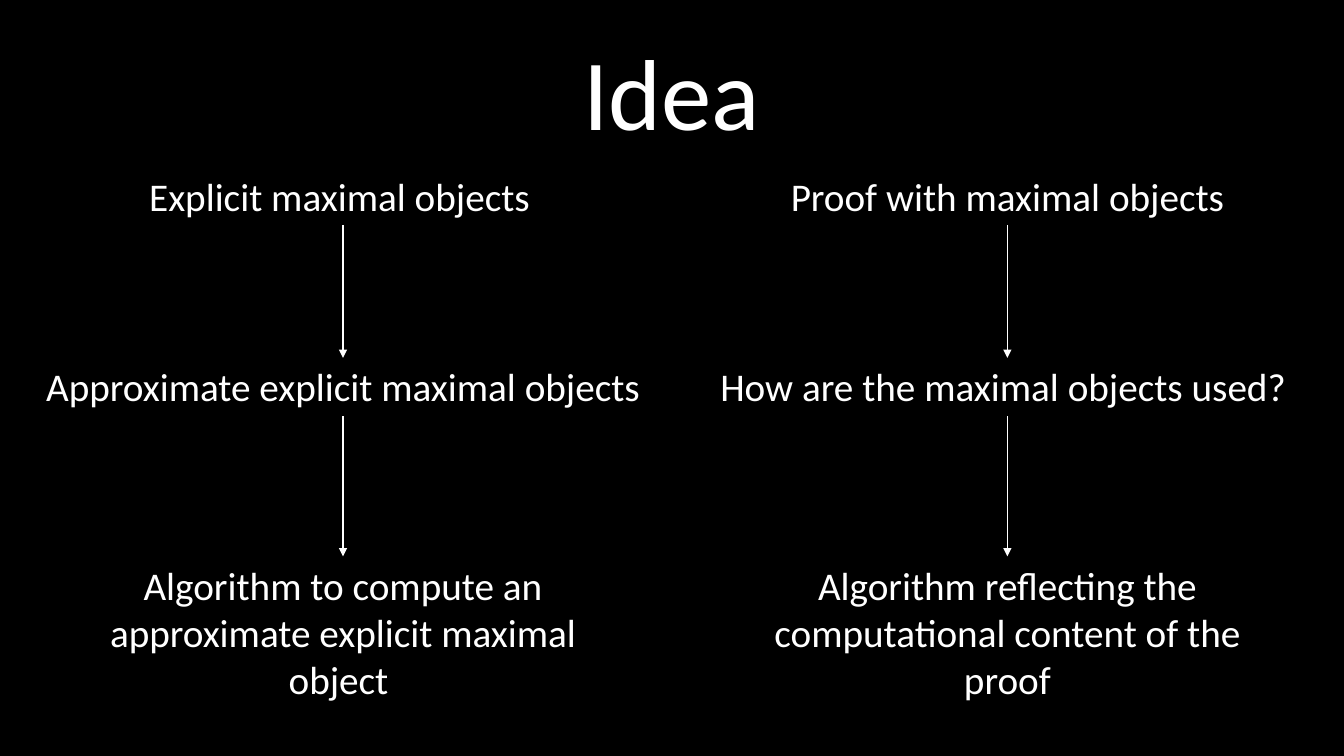
from pptx import Presentation
from pptx.dml.color import RGBColor
from pptx.enum.shapes import MSO_CONNECTOR as CONN
from pptx.enum.text import MSO_ANCHOR as ANCHOR, MSO_AUTO_SIZE as FIT, PP_ALIGN as ALIGN
from pptx.oxml.ns import qn
from pptx.util import Pt
from lxml import etree

COLORS = {"background": "000000", "ink": "FFFFFF"}
TOP, BOTTOM = 0, 2

# Top and height of each row of boxes
ROWS = [(119.5, 41.2), (255.6, 41.6), (397.4, 108.7)]

# Centre of each column, then (text, width, alignment) from top to bottom
COLUMNS = [
    (245, [
        ("Explicit maximal objects", 291, ALIGN.LEFT),
        ("Approximate explicit maximal objects", 445.7, ALIGN.CENTER),
        ("Algorithm to compute an approximate explicit maximal object ", 369.4, ALIGN.CENTER),
    ]),
    (719.6, [
        ("Proof with maximal objects", 391, ALIGN.CENTER),
        ("How are the maximal objects used? ", 445.7, ALIGN.CENTER),
        ("Algorithm reflecting the computational content of the proof", 369.4, ALIGN.CENTER),
    ]),
]


def rgb(name):
    return RGBColor.from_string(COLORS[name])


class FlowSlide:
    def __init__(self, prs, font="Calibri"):
        self.font = font
        self.slide = prs.slides.add_slide(prs.slide_layouts[5])
        fill = self.slide.background.fill
        fill.solid()
        fill.fore_color.rgb = rgb("background")

    def add_text(self, sp, text, size, align, frame_format):
        tf = sp.text_frame
        for name, value in frame_format.items():
            setattr(tf, name, value)
        p = tf.paragraphs[0]
        p.alignment = align
        r = p.add_run()
        r.text = text
        for name, value in {"name": self.font, "size": Pt(size)}.items():
            setattr(r.font, name, value)
        r.font.color.rgb = rgb("ink")
        return p

    def title(self, text):
        sp = self.slide.shapes.title
        place = {"left": 66, "top": 18, "width": 828, "height": 104.4}
        for name, value in place.items():
            setattr(sp, name, Pt(value))
        p = self.add_text(sp, text, 72, ALIGN.CENTER,
                          {"vertical_anchor": ANCHOR.MIDDLE, "auto_size": FIT.NONE})
        p.line_spacing = 0.9

    def box(self, text, center, top, width, height, align):
        sp = self.slide.shapes.add_textbox(
            Pt(center - width / 2), Pt(top), Pt(width), Pt(height))
        self.add_text(sp, text, 28, align,
                      {"word_wrap": True, "auto_size": FIT.SHAPE_TO_FIT_TEXT})
        return sp

    def arrow(self, upper, lower):
        """Join the bottom of one box to the top of the next."""
        line = self.slide.shapes.add_connector(CONN.STRAIGHT, 0, 0, 0, 0)
        line.begin_connect(upper, BOTTOM)
        line.end_connect(lower, TOP)
        line.line.width = Pt(1)
        line.line.color.rgb = rgb("ink")
        sp_pr = line._element.spPr
        etree.SubElement(sp_pr.find(qn("a:ln")), qn("a:tailEnd"), type="triangle")
        etree.SubElement(sp_pr, qn("a:effectLst"))


def main():
    prs = Presentation()
    prs.slide_width, prs.slide_height = Pt(960), Pt(540)
    s = FlowSlide(prs)
    s.title("Idea")
    for center, steps in COLUMNS:
        boxes = [s.box(text, center, top, width, height, align)
                 for (text, width, align), (top, height) in zip(steps, ROWS)]
        for upper, lower in zip(boxes, boxes[1:]):
            s.arrow(upper, lower)
    prs.save("out.pptx")


if __name__ == "__main__":
    main()
